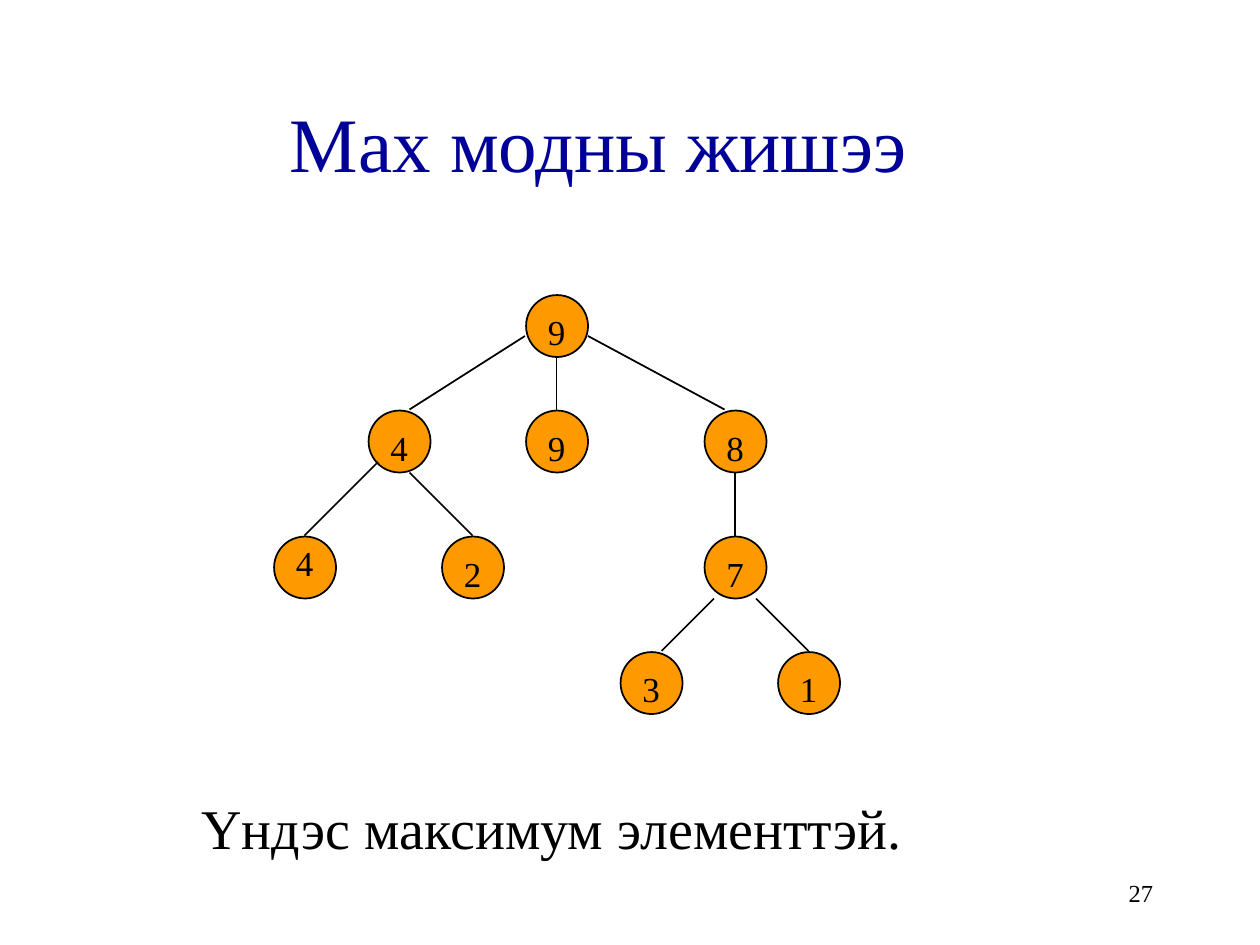
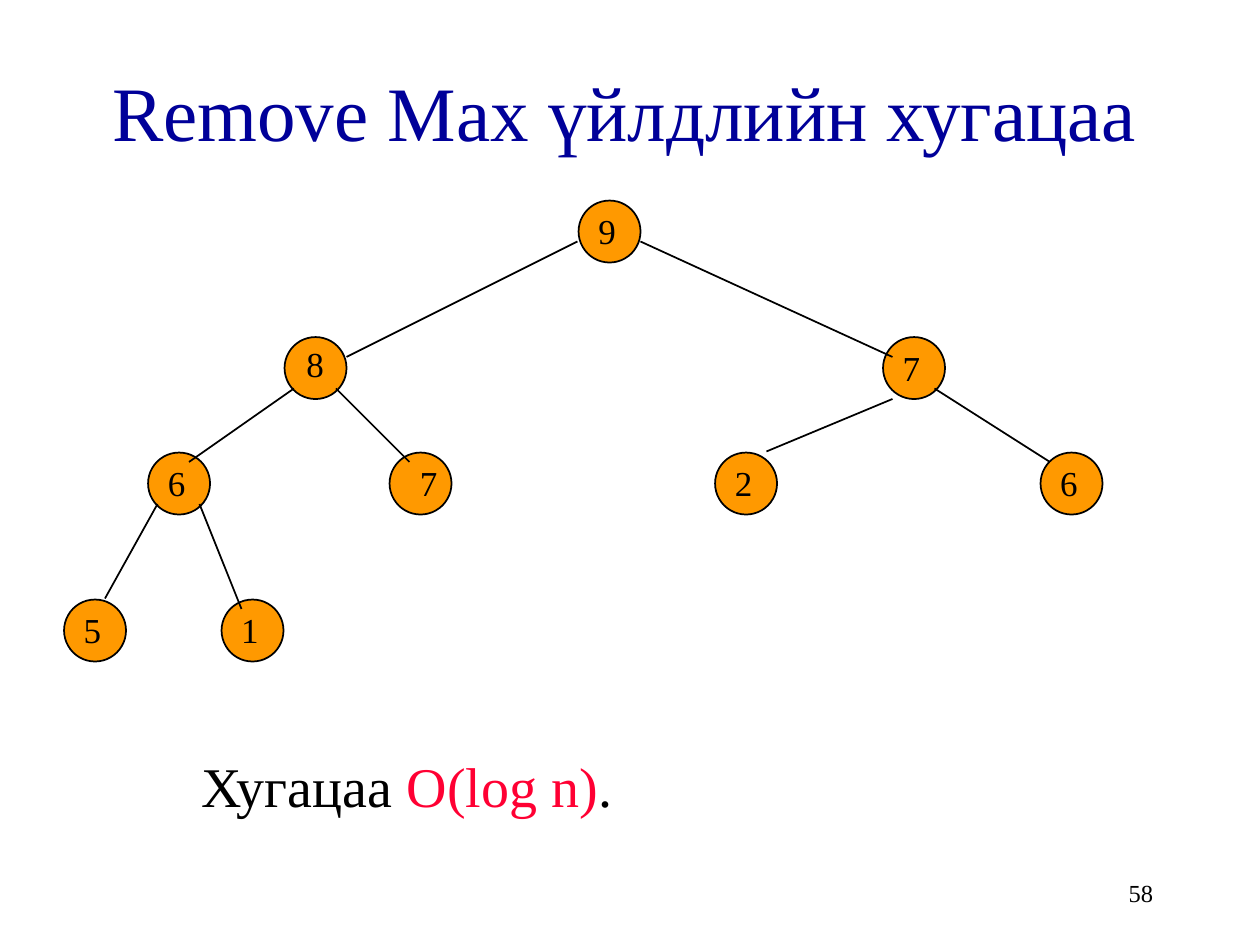
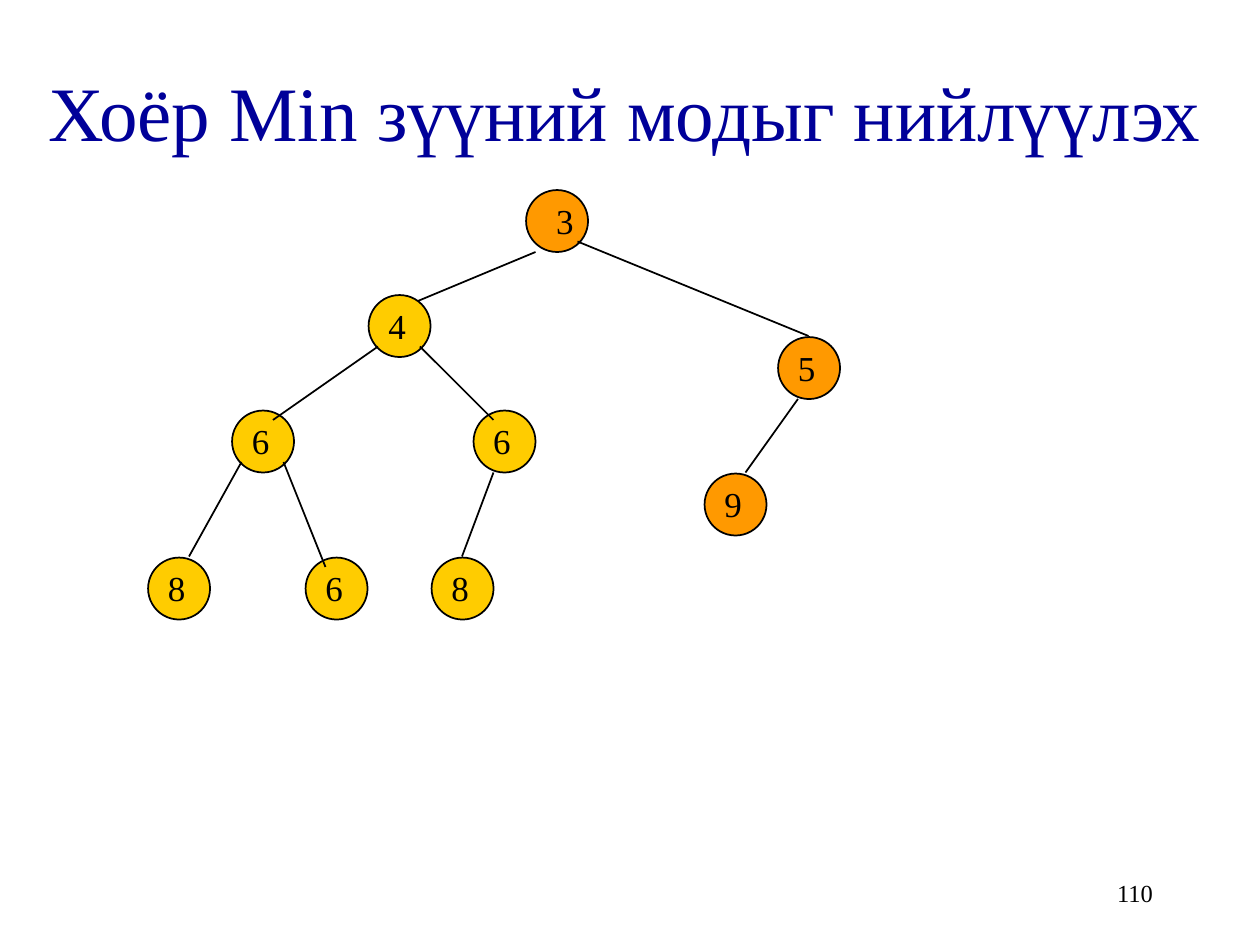
from pptx import Presentation
from pptx.dml.color import RGBColor
from pptx.enum.shapes import MSO_CONNECTOR as Connector, MSO_SHAPE as Shape
from pptx.enum.text import MSO_ANCHOR as Anchor, PP_ALIGN as Align
from pptx.oxml.ns import qn
from pptx.util import Emu, Pt
from lxml.etree import SubElement

EMU_PER_PX = 7620  # 120 px to the inch
FONT = "Times New Roman"
COLORS = {
    "title": "000099",
    "ink": "000000",
    "accent": "FF0033",
    "orange": "FF9900",
    "yellow": "FFCC00",
}
NODE_SIZE = 59
NODE_GAP = 1  # a node sits just inside its grid position


def px(*lengths):
    return [Emu(length * EMU_PER_PX) for length in lengths]


def rgb(name):
    return RGBColor.from_string(COLORS[name])


def add_text(shapes, box, text, *, size, color="ink", align=Align.LEFT, anchor=Anchor.TOP):
    """Text is a string, or a list of (string, color) spans."""
    frame = shapes.add_textbox(*px(*box)).text_frame
    frame.word_wrap = True
    frame.vertical_anchor = anchor
    para = frame.paragraphs[0]
    para.alignment = align
    spans = [(text, color)] if isinstance(text, str) else text
    for words, span_color in spans:
        span = para.add_run()
        span.text = words
        span.font.name = FONT
        span.font.size = Pt(size)
        span.font.color.rgb = rgb(span_color)


def add_node(shapes, left, top, fill):
    node = shapes.add_shape(
        Shape.OVAL, *px(left + NODE_GAP, top + NODE_GAP, NODE_SIZE, NODE_SIZE))
    node.shadow.inherit = False
    node.fill.solid()
    node.fill.fore_color.rgb = rgb(fill)
    node.line.color.rgb = rgb("ink")
    node.line.width = Pt(1)


def add_edge(shapes, x1, y1, x2, y2):
    edge = shapes.add_connector(Connector.STRAIGHT, *px(x1, y1, x2, y2))
    edge.line.color.rgb = rgb("ink")
    edge.line.width = Pt(1)
    SubElement(edge._element.spPr, qn("a:effectLst"))


def add_tree(shapes, origin, nodes, edges, fill="orange", label_shift=(8, 4)):
    """Nodes are (key, left, top[, own label shift]); edges are x1, y1, x2, y2."""
    x, y = origin
    for _, left, top, *_ in nodes:
        add_node(shapes, x + left, y + top, fill)
    for x1, y1, x2, y2 in edges:
        add_edge(shapes, x + x1, y + y1, x + x2, y + y2)
    for key, left, top, *own_shift in nodes:
        dx, dy = own_shift[0] if own_shift else label_shift
        add_text(shapes, (x + left + dx, y + top + dy, 41, 52), key, size=20)


def add_page(deck, title, title_box, number):
    page = deck.slides.add_slide(deck.slide_layouts[6])
    add_text(page.shapes, title_box, title, size=44, color="title",
             align=Align.CENTER, anchor=Anchor.MIDDLE)
    add_text(page.shapes, (860, 820, 250, 60), number, size=14,
             align=Align.RIGHT, anchor=Anchor.MIDDLE)
    return page


WIDE_TITLE = (10, 30, 1170, 150)


def max_tree_page(deck):
    page = add_page(deck, "Max модны жишээ", (60, 60, 1020, 150), "27")
    nodes = [
        ("9", 240, 0),
        ("4", 90, 110), ("9", 240, 110), ("8", 410, 110),
        ("4", 0, 230, (10, 0)), ("2", 160, 230), ("7", 410, 230),
        ("3", 330, 340), ("1", 480, 340),
    ]
    edges = [
        (240, 40, 130, 110), (270, 60, 270, 110), (300, 40, 430, 110),
        (100, 160, 30, 230), (130, 170, 190, 230), (440, 170, 440, 230),
        (420, 290, 370, 340), (460, 290, 510, 340),
    ]
    add_tree(page.shapes, (260, 280), nodes, edges, label_shift=(10, 10))
    add_text(page.shapes, (180, 750, 840, 110), "Үндэс максимум элементтэй.", size=32)


def remove_max_page(deck):
    page = add_page(deck, "Remove Max үйлдлийн хугацаа", WIDE_TITLE, "58")
    nodes = [
        ("9", 490, 0),
        ("8", 210, 130, (10, 0)), ("7", 780, 130),
        ("6", 80, 240), ("7", 310, 240, (18, 4)), ("2", 620, 240), ("6", 930, 240),
        ("5", 0, 380), ("1", 150, 380),
    ]
    edges = [
        (490, 40, 270, 150), (550, 40, 790, 150),
        (220, 180, 120, 250), (260, 180, 330, 250),
        (790, 190, 670, 240), (830, 180, 940, 250),
        (90, 290, 40, 380), (130, 290, 170, 390),
    ]
    group = page.shapes.add_group_shape()
    add_tree(group.shapes, (60, 190), nodes, edges)
    cost = [("Хугацаа ", "ink"), ("O(log n)", "accent"), (".", "ink")]
    add_text(page.shapes, (180, 710, 840, 30), cost, size=32)


def merge_page(deck):
    page = add_page(deck, "Хоёр Min зүүний модыг нийлүүлэх", WIDE_TITLE, "110")
    # Root with its right subtree
    root_nodes = [("3", 0, 0, (18, 4)), ("5", 240, 140), ("9", 170, 270)]
    root_edges = [(10, 60, -110, 110), (50, 50, 270, 140), (260, 200, 210, 270)]
    add_tree(page.shapes, (500, 180), root_nodes, root_edges)
    # Left subtree, which covers the end of the root's edge
    left_nodes = [
        ("4", 210, 0),
        ("6", 80, 110), ("6", 310, 110),
        ("8", 0, 250), ("6", 150, 250), ("8", 270, 250),
    ]
    left_edges = [
        (220, 50, 120, 120), (260, 50, 330, 120),
        (90, 160, 40, 250), (130, 160, 170, 260), (330, 170, 300, 250),
    ]
    add_tree(page.shapes, (140, 280), left_nodes, left_edges, fill="yellow")


def main():
    deck = Presentation()
    deck.slide_width, deck.slide_height = px(1200, 900)
    max_tree_page(deck)
    remove_max_page(deck)
    merge_page(deck)
    deck.save("out.pptx")


if __name__ == "__main__":
    main()
